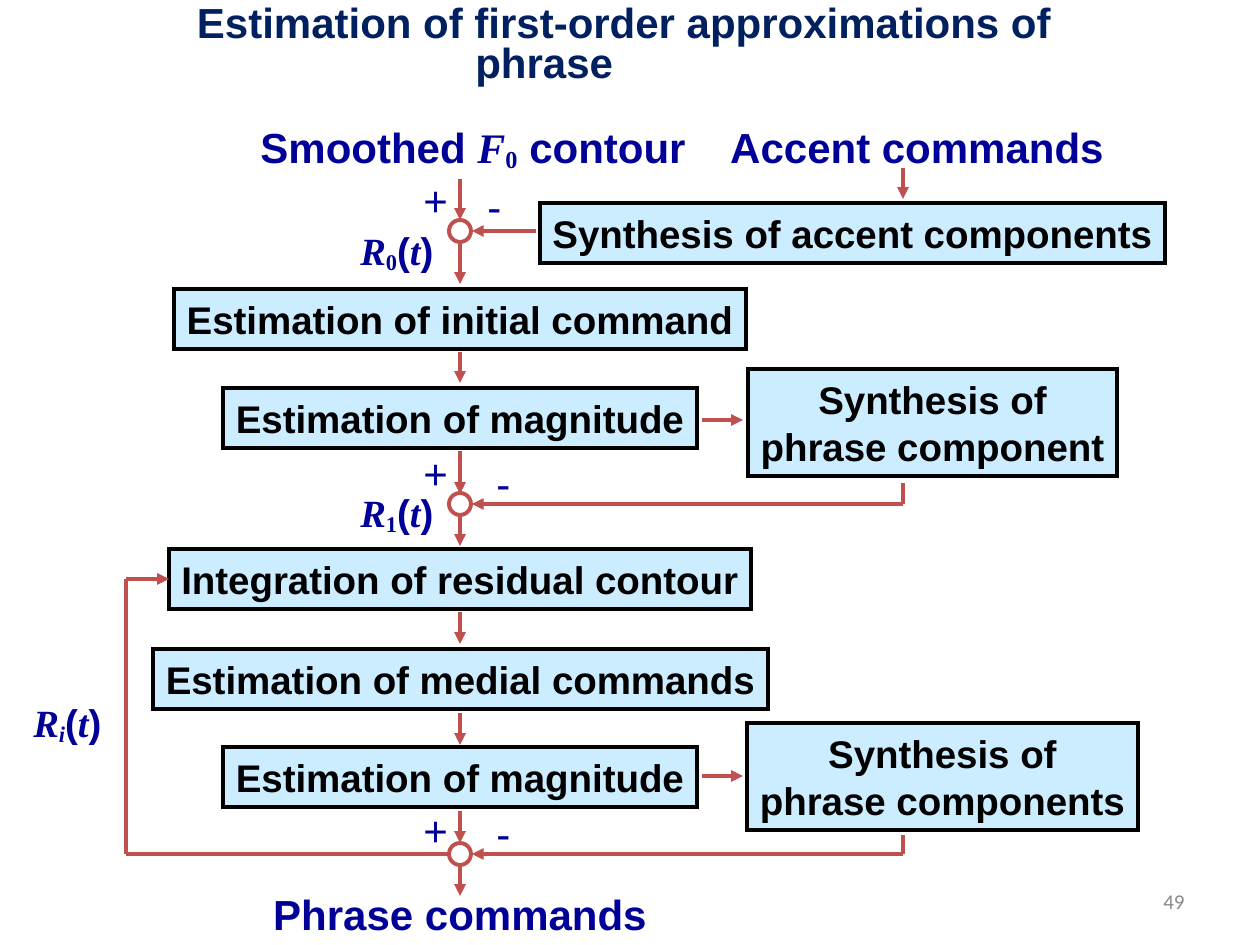
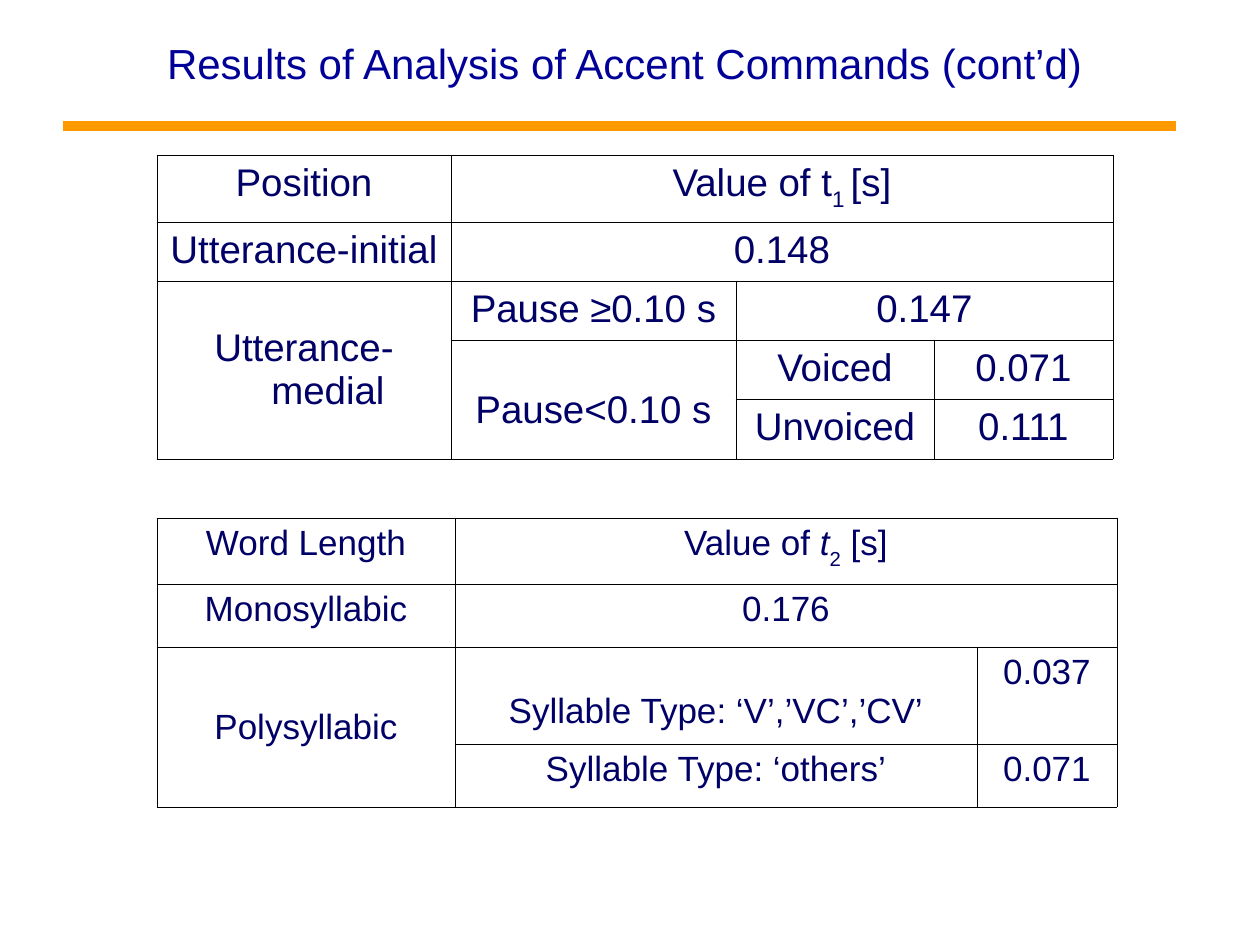
from lxml.etree import SubElement as Sub, Element
from pptx import Presentation
from pptx.dml.color import RGBColor as Rgb
from pptx.enum.shapes import MSO_CONNECTOR as Conn, MSO_SHAPE as Kind
from pptx.enum.text import MSO_ANCHOR as Anchor, PP_ALIGN as Align
from pptx.oxml.ns import qn
from pptx.util import Pt

SCALE = 914400 / 126
COLOR = {"title": "002060", "label": "000099", "cell": "000066", "page": "898989",
         "box": "CCECFF", "edge": "000000", "flow": "C0504D", "rule": "FF9900"}
SANS, SERIF = "Arial", "Times New Roman"
DROP = {"s": "-12000", "d": "-30000"}  # subscript depths
MID = 460     # axis of the main flow
SIDE = 903    # axis of the side branches
RING = 22     # size of a summing node


def px(n):
    return round(n * SCALE)


def tint(name):
    return Rgb.from_string(COLOR[name])


def write(para, runs, size, color, bold=False, align=Align.CENTER, face=SANS):
    """Fill a paragraph; flags: r serif, i italic, s or d subscript."""
    para.alignment = align
    font = para.font
    font.size, font.bold, font.name = Pt(size), bold, face
    font.color.rgb = tint(color)
    for text, flags in [(runs, "")] if isinstance(runs, str) else runs:
        run = para.add_run()
        run.text = text
        if "r" in flags:
            run.font.name = SERIF
        if "i" in flags:
            run.font.italic = True
        for key in DROP.keys() & set(flags):
            run.font._element.set("baseline", DROP[key])


def label(slide, box, runs, size=24, color="label", wrap=False,
          anchor=Anchor.TOP, **style):
    frame = slide.shapes.add_textbox(*map(px, box)).text_frame
    frame.word_wrap = wrap
    frame.vertical_anchor = anchor
    write(frame.paragraphs[0], runs, size, color, **style)
    return frame


def line(slide, start, end, head=True, color="flow", width=2.25):
    link = slide.shapes.add_connector(Conn.STRAIGHT, *map(px, start + end))
    link.line.color.rgb = tint(color)
    link.line.width = Pt(width)
    if head:
        Sub(link.line._get_or_add_ln(), qn("a:tailEnd"), type="triangle")
    Sub(link._element.spPr, qn("a:effectLst"))
    return link


def step(slide, mid, top, width, *rows):
    """Process box centred on mid, as tall as its rows of text."""
    high = 13 + 47 * len(rows)
    box = slide.shapes.add_shape(
        Kind.RECTANGLE, *map(px, (mid - width // 2, top, width, high)))
    box.shadow.inherit = False
    box.fill.solid()
    box.fill.fore_color.rgb = tint("box")
    box.line.color.rgb = tint("edge")
    box.line.width = Pt(2.25)
    Sub(box.line._get_or_add_ln(), qn("a:miter"), lim="800000")
    frame = box.text_frame
    frame.word_wrap = False
    for i, row in enumerate(rows):
        para = frame.add_paragraph() if i else frame.paragraphs[0]
        write(para, row, 22, "edge", bold=True)
    return box


def node(slide, y, plus, minus, start):
    """Summing node with its signs and the arrow that enters from the right."""
    half = RING // 2
    ring = slide.shapes.add_shape(
        Kind.OVAL, *map(px, (MID - half, y - half, RING, RING)))
    ring.shadow.inherit = False
    ring.fill.background()
    ring.line.color.rgb = tint("flow")
    ring.line.width = Pt(2.25)
    line(slide, (start, y), (MID + half + 1, y))
    label(slide, (411, y - plus, 49, 63), "+", align=Align.LEFT)
    label(slide, (*minus, 39, 63), "-", align=Align.LEFT)


def rest(slide, x, y, index, flags):
    """Name of a residual contour, R with an index."""
    runs = [("R", "ri"), (index, flags), ("(", ""), ("t", "ri"), (")", "")]
    label(slide, (x, y, 98, 60), runs, size=22, bold=True, align=Align.LEFT)


def flow(prs):
    slide = prs.slides.add_slide(prs.slide_layouts[6])

    # Title in two lines
    frame = label(slide, (0, 0, 1248, 73), "Estimation of first-order approximations of",
                  color="title", bold=True, wrap=True)
    tail = frame.add_paragraph()
    tail._p.get_or_add_pPr().set("marL", str(px(463)))
    write(tail, "phrase", 24, "title", bold=True, align=Align.LEFT)
    for para in frame.paragraphs:
        para.line_spacing = 0.8

    # Inputs and output
    smooth = [("Smoothed ", ""), ("F", "ri"), ("0", "rs"), (" contour", "")]
    for x, y, width, runs in ((243, 115, 460, smooth),
                              (702, 115, 430, "Accent commands"),
                              (245, 882, 430, "Phrase commands")):
        label(slide, (x, y, width, 63), runs, bold=True)

    # Main column
    main = {}
    for top, width, text in (
            (289, 572, "Estimation of initial command"),
            (388, 474, "Estimation of magnitude"),
            (549, 582, "Integration of residual contour"),
            (649, 615, "Estimation of medial commands"),
            (747, 474, "Estimation of magnitude")):
        main[top] = step(slide, MID, top, width, text)
    for top, end in ((179, 220), (242, 284), (352, 383), (451, 494), (514, 546),
                     (612, 644), (713, 745), (811, 843), (864, 896)):
        line(slide, (MID, top), (MID, end))

    # Side branches
    step(slide, 852, 203, 625, "Synthesis of accent components")
    step(slide, 932, 369, 369, "Synthesis of", "phrase component")
    step(slide, 942, 723, 391, "Synthesis of", "phrase components")
    line(slide, (SIDE, 168), (SIDE, 199))
    for y in (420, 776):
        line(slide, (702, y), (743, y))
    for y, top in ((504, 483), (854, 835)):
        line(slide, (SIDE, y), (SIDE, top), head=False)

    # Summing nodes
    node(slide, 231, 63, (475, 174), 536)
    node(slide, 504, 63, (484, 451), SIDE)
    node(slide, 854, 56, (484, 801), SIDE)

    # Feedback loop
    line(slide, (449, 854), (126, 854), head=False)
    line(slide, (126, 854), (126, 579), head=False)
    line(slide, (126, 579), (169, 579)).end_connect(main[549], 1)

    # Residuals and page number
    rest(slide, 348, 221, "0", "rs")
    rest(slide, 348, 483, "1", "rs")
    rest(slide, 21, 693, "i", "ris")
    label(slide, (903, 876, 294, 50), "49", size=12, color="page", wrap=True,
          anchor=Anchor.MIDDLE, align=Align.RIGHT, face="Calibri")


def frame_cell(cell):
    """Clear the fill and draw thin borders on all sides."""
    cell.fill.background()
    props = cell._tc.get_or_add_tcPr()
    for i, side in enumerate("LRTB"):
        edge = Element(qn("a:ln" + side), w=str(Pt(0.45)))
        Sub(Sub(edge, qn("a:solidFill")), qn("a:srgbClr"), val=COLOR["edge"])
        props.insert(i, edge)


def grid(slide, left, top, cols, rows, size, cells):
    """Table; each cell is row, column, row span, column span, text, drop.

    A drop in px lowers the text; None centres it vertically.
    """
    box = map(px, (left, top, sum(cols), sum(rows)))
    table = slide.shapes.add_table(len(rows), len(cols), *box).table
    table.first_row = table.horz_banding = False
    for col, width in zip(table.columns, cols):
        col.width = px(width)
    for row, high in zip(table.rows, rows):
        row.height = px(high)
    for cell in table.iter_cells():
        frame_cell(cell)
    for r, c, down, across, runs, drop in cells:
        cell = table.cell(r, c)
        if down * across > 1:
            cell.merge(table.cell(r + down - 1, c + across - 1))
        if drop is None:
            cell.vertical_anchor = Anchor.MIDDLE
        elif drop:
            cell.margin_top = px(6 + drop)
        para = cell.text_frame.paragraphs[0]
        props = para._p.get_or_add_pPr()
        props.set("marL", str(px(48)))
        props.set("indent", str(px(-48)))
        write(para, runs, size, "cell")


def results(prs):
    slide = prs.slides.add_slide(prs.slide_layouts[6])

    # Title and rule
    label(slide, (136, 21, 977, 84), "Results of Analysis of Accent Commands (cont’d)",
          wrap=True, anchor=Anchor.MIDDLE)
    line(slide, (63, 126), (1176, 126), head=False, color="rule", width=6)

    # Onset values by position
    grid(slide, 157, 155, (294, 285, 198, 179), (67, 59, 59, 59, 60), 22, (
        (0, 0, 1, 1, "Position", 0),
        (0, 1, 1, 3, [("Value of t", ""), ("1 ", "d"), ("[s]", "")], 0),
        (1, 0, 1, 1, "Utterance-initial", 0),
        (1, 1, 1, 3, "0.148", 0),
        (2, 0, 3, 1, "Utterance-medial", None),
        (2, 1, 1, 1, "Pause ≥0.10 s", 0),
        (2, 2, 1, 2, "0.147", 0),
        (3, 1, 2, 1, "Pause<0.10 s", 43),
        (3, 2, 1, 1, "Voiced", 0),
        (3, 3, 1, 1, "0.071", 0),
        (4, 2, 1, 1, "Unvoiced", 0),
        (4, 3, 1, 1, "0.111", 0)))

    # Offset values by word length
    grid(slide, 157, 518, (298, 522, 140), (66, 63, 97, 63), 20, (
        (0, 0, 1, 1, "Word Length", 0),
        (0, 1, 1, 2, [("Value of ", ""), ("t", "i"), ("2", "d"), (" [s]", "")], 0),
        (1, 0, 1, 1, "Monosyllabic", 0),
        (1, 1, 1, 2, "0.176", 0),
        (2, 0, 2, 1, "Polysyllabic", None),
        (2, 1, 1, 1, "Syllable Type: ‘V’,’VC’,’CV’", 39),
        (2, 2, 1, 1, "0.037", 0),
        (3, 1, 1, 1, "Syllable Type: ‘others’", 0),
        (3, 2, 1, 1, "0.071", 0)))


def main():
    prs = Presentation()
    prs.slide_width, prs.slide_height = px(1260), px(945)
    flow(prs)
    results(prs)
    prs.save("out.pptx")


if __name__ == "__main__":
    main()
